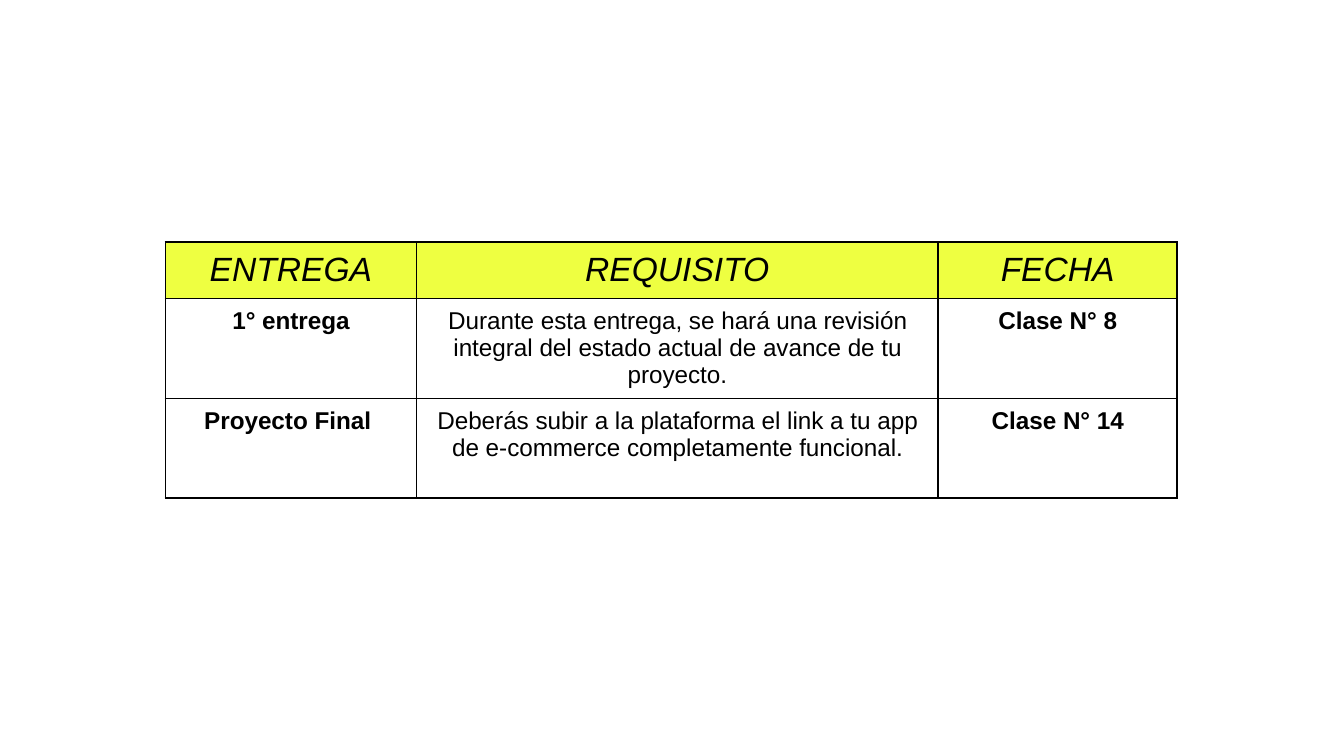
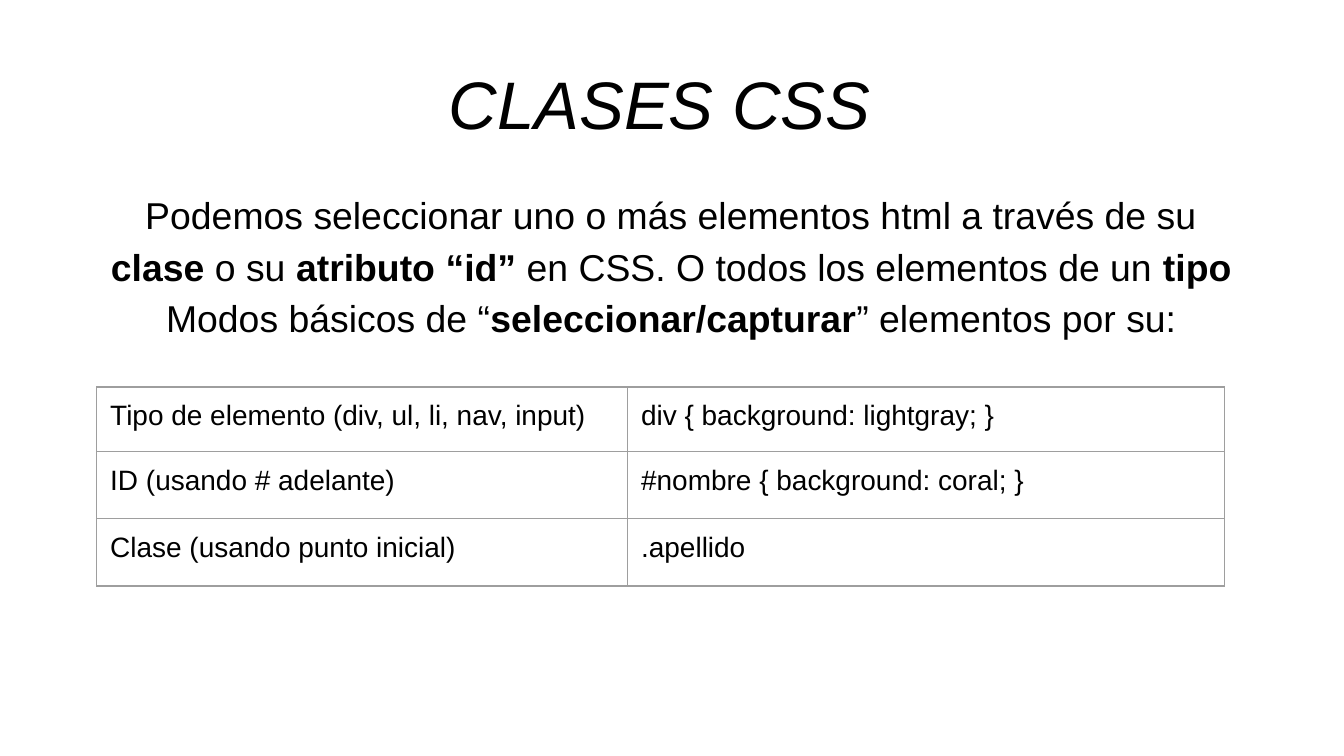
"""Build two slides: a delivery schedule and an overview of CSS selectors."""
from lxml.etree import SubElement
from pptx import Presentation
from pptx.dml.color import RGBColor
from pptx.enum.text import MSO_ANCHOR as ANCHOR, PP_ALIGN as ALIGN
from pptx.oxml.ns import qn
from pptx.util import Inches, Pt

FONT = "Arial"
COLORS = {"text": "000000", "header": "EEFF41", "grid": "9E9E9E"}

DELIVERIES = [
    ("ENTREGA", "REQUISITO", "FECHA"),
    ("1° entrega",
     "Durante esta entrega, se hará una revisión integral del estado actual "
     "de avance de tu proyecto.",
     "Clase N° 8"),
    ("Proyecto Final ",
     "Deberás subir a la plataforma el link a tu app de e-commerce "
     "completamente funcional.",
     "Clase N° 14"),
]
TITLE = "CLASES CSS"
INTRO = [
    [("Podemos seleccionar uno o más elementos html a través de su ", False),
     ("clase", True), (" o su ", False), ("atributo", True), (" ", False),
     ("“id”", True), (" en CSS. O todos los elementos de un ", False),
     ("tipo", True)],
    [("Modos básicos de “", False), ("seleccionar/capturar", True),
     ("” elementos por su:", False)],
]
SELECTORS = [
    ("Tipo de elemento (div, ul, li, nav, input)", "div { background: lightgray; }"),
    ("ID (usando # adelante)", "#nombre { background: coral; }"),
    ("Clase (usando punto inicial)", ".apellido"),
]


def style(p, size, align=ALIGN.CENTER, bold=None, italic=None):
    p.alignment = align
    p.font.name, p.font.size = FONT, Pt(size)
    p.font.bold, p.font.italic = bold, italic
    p.font.color.rgb = RGBColor.from_string(COLORS["text"])


def add_text(slide, box, anchor):
    tf = slide.shapes.add_textbox(*map(Inches, box)).text_frame
    tf.word_wrap, tf.vertical_anchor = True, anchor
    tf.margin_left = tf.margin_right = tf.margin_top = tf.margin_bottom = Inches(0.1)
    return tf


def set_borders(cell, color, width):
    tc_pr = cell._tc.get_or_add_tcPr()
    for side in ("lnL", "lnR", "lnT", "lnB"):
        ln = SubElement(tc_pr, qn(f"a:{side}"), w=str(Pt(width)))
        SubElement(SubElement(ln, qn("a:solidFill")), qn("a:srgbClr"), val=color)


def add_table(slide, rows, left, top, widths, heights, margin, border):
    frame = slide.shapes.add_table(
        len(rows), len(widths), Inches(left), Inches(top),
        Inches(sum(widths)), Inches(sum(heights)))
    table = frame.table
    table.first_row = table.horz_banding = False
    for column, width in zip(table.columns, widths):
        column.width = Inches(width)
    for row, height, texts in zip(table.rows, heights, rows):
        row.height = Inches(height)
        for cell, text in zip(row.cells, texts):
            cell.text = text
            cell.margin_left = cell.margin_right = Inches(margin)
            cell.margin_top = cell.margin_bottom = Inches(margin)
            set_borders(cell, *border)
            cell.fill.background()
    return table


def build_deliveries(slide):
    table = add_table(slide, DELIVERIES, 1.23, 1.8, (1.87, 3.88, 1.78),
                      (0.42, 0.74, 0.74), 0.07, (COLORS["text"], 1))
    for i, row in enumerate(table.rows):
        for j, cell in enumerate(row.cells):
            p = cell.text_frame.paragraphs[0]
            if i == 0:
                style(p, 18, italic=True)
                cell.fill.solid()
                cell.fill.fore_color.rgb = RGBColor.from_string(COLORS["header"])
            else:
                style(p, 13, bold=j != 1)


def build_selectors(slide):
    tf = add_text(slide, (0.68, 1.28, 8.63, 1.37), ANCHOR.TOP)
    for i, runs in enumerate(INTRO):
        p = tf.add_paragraph() if i else tf.paragraphs[0]
        style(p, 20)
        p.line_spacing = 1.15
        for text, bold in runs:
            r = p.add_run()
            r.text, r.font.bold = text, bold

    tf = add_text(slide, (1.81, 0.35, 6.2, 0.82), ANCHOR.MIDDLE)
    tf.text = TITLE
    style(tf.paragraphs[0], 36, italic=True)

    table = add_table(slide, SELECTORS, 0.72, 2.88, (3.95, 4.44),
                      (0.48, 0.5, 0.5), 0.1, (COLORS["grid"], 0.75))
    for cell in table.iter_cells():
        style(cell.text_frame.paragraphs[0], 15, ALIGN.LEFT)


def main():
    prs = Presentation()
    prs.slide_width = Inches(10)
    prs.slide_height = prs.slide_width * 9 // 16
    for build in (build_deliveries, build_selectors):
        build(prs.slides.add_slide(prs.slide_layouts[6]))
    prs.save("out.pptx")


if __name__ == "__main__":
    main()
